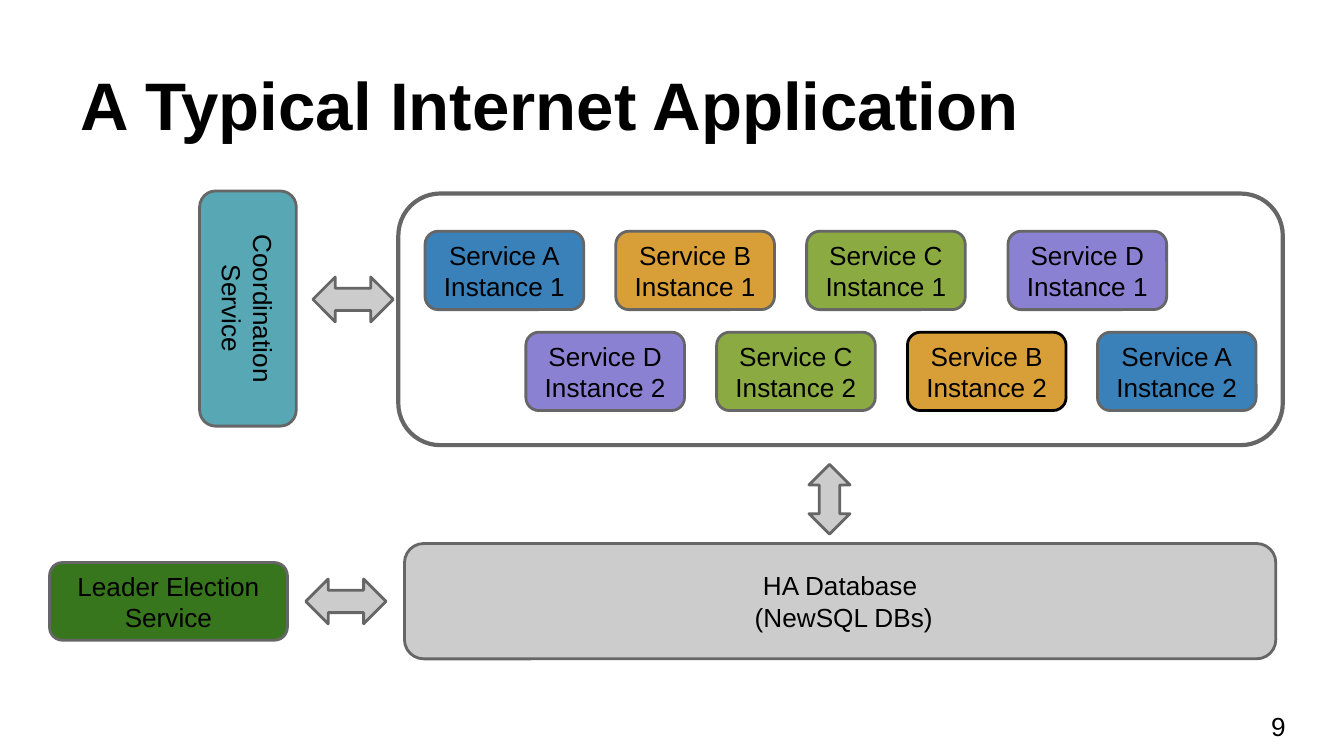
from dataclasses import dataclass
from typing import Optional

from pptx import Presentation
from pptx.dml.color import RGBColor
from pptx.enum.shapes import MSO_SHAPE
from pptx.enum.text import MSO_ANCHOR, MSO_AUTO_SIZE, PP_ALIGN
from pptx.util import Pt

COLORS = {
    "black": "000000", "white": "FFFFFF", "outline": "666666", "gray": "CCCCCC",
    "A": "3A81BA", "B": "D89F39", "C": "8BAB42", "D": "8B81D2",
    "leader": "38761D", "coordination": "57A7B5",
}
INSET = 7.2


@dataclass
class Block:
    left: float
    top: float
    width: float
    height: float
    fill: str
    text: str = ""
    kind: MSO_SHAPE = MSO_SHAPE.ROUNDED_RECTANGLE
    line: str = "outline"
    line_width: float = 1.5
    rotation: float = 0


def rgb(name: str) -> RGBColor:
    return RGBColor.from_string(COLORS[name])


def write(tf, text: str, size: float = 14, bold: bool = False,
          align: PP_ALIGN = PP_ALIGN.CENTER, anchor: MSO_ANCHOR = MSO_ANCHOR.MIDDLE) -> None:
    frame_format = {
        "word_wrap": True, "auto_size": MSO_AUTO_SIZE.NONE, "vertical_anchor": anchor,
        **{f"margin_{side}": Pt(INSET) for side in ("left", "top", "right", "bottom")},
    }
    for name, value in frame_format.items():
        setattr(tf, name, value)
    tf.text = text
    for p in tf.paragraphs:
        p.alignment = align
        for r in p.runs:
            for name, value in {"name": "Arial", "size": Pt(size), "bold": bold}.items():
                setattr(r.font, name, value)
            r.font.color.rgb = rgb("black")


def draw(s, block: Block) -> None:
    box = (block.left, block.top, block.width, block.height)
    sp = s.shapes.add_shape(block.kind, *map(Pt, box))
    sp.shadow.inherit = False
    sp.rotation = block.rotation
    sp.fill.solid()
    sp.fill.fore_color.rgb = rgb(block.fill)
    sp.line.color.rgb = rgb(block.line)
    sp.line.width = Pt(block.line_width)
    if block.text:
        write(sp.text_frame, block.text)


def draw_instances(s, number: int, letters: str, left: float, top: float,
                   last_left: float, outlined: Optional[str] = None) -> None:
    """Draw a row at an even pitch, with its last box at its own left edge."""
    pitch = 102.2
    for i, letter in enumerate(letters):
        x = last_left if i == len(letters) - 1 else left + i * pitch
        draw(s, Block(x, top, 85, 42, letter, f"Service {letter}\nInstance {number}",
                      line="black" if letter == outlined else "outline"))


def main() -> None:
    prs = Presentation()
    prs.slide_width, prs.slide_height = Pt(720), Pt(405)
    s = prs.slides.add_slide(prs.slide_layouts[5])

    # Title
    title = s.shapes.title
    for name, value in {"left": 36, "top": 16.5, "width": 648, "height": 67.7}.items():
        setattr(title, name, Pt(value))
    write(title.text_frame, "A Typical Internet Application", 36, True,
          PP_ALIGN.LEFT, MSO_ANCHOR.BOTTOM)

    # Service panel with two rows of instances
    draw(s, Block(213.4, 103.7, 473.8, 134.8, "white", line_width=2.25))
    draw_instances(s, 1, "ABCD", 227.7, 123.9, 540)
    draw_instances(s, 2, "DCBA", 281.7, 178, 587.9, outlined="B")

    # Database, supporting services and the arrows between them
    across, up_down = MSO_SHAPE.LEFT_RIGHT_ARROW, MSO_SHAPE.UP_DOWN_ARROW
    for block in (
        Block(216.7, 291.2, 466.8, 61.8, "gray", "HA Database\n (NewSQL DBs)"),
        Block(433.4, 248.8, 22, 37.4, "gray", kind=up_down),
        Block(26.6, 301.4, 127.4, 41.6, "leader", "Leader Election Service"),
        Block(163.8, 310.2, 43, 24, "gray", kind=across),
        Block(69.8, 139.4, 126, 51.8, "coordination", "Coordination Service", rotation=90),
        Block(167.6, 148.4, 43, 24, "gray", kind=across),
    ):
        draw(s, block)

    # Page number
    page = s.shapes.add_textbox(Pt(673.9), Pt(373.7), Pt(43.2), Pt(31))
    write(page.text_frame, "9", align=PP_ALIGN.LEFT)

    prs.save("out.pptx")


if __name__ == "__main__":
    main()
